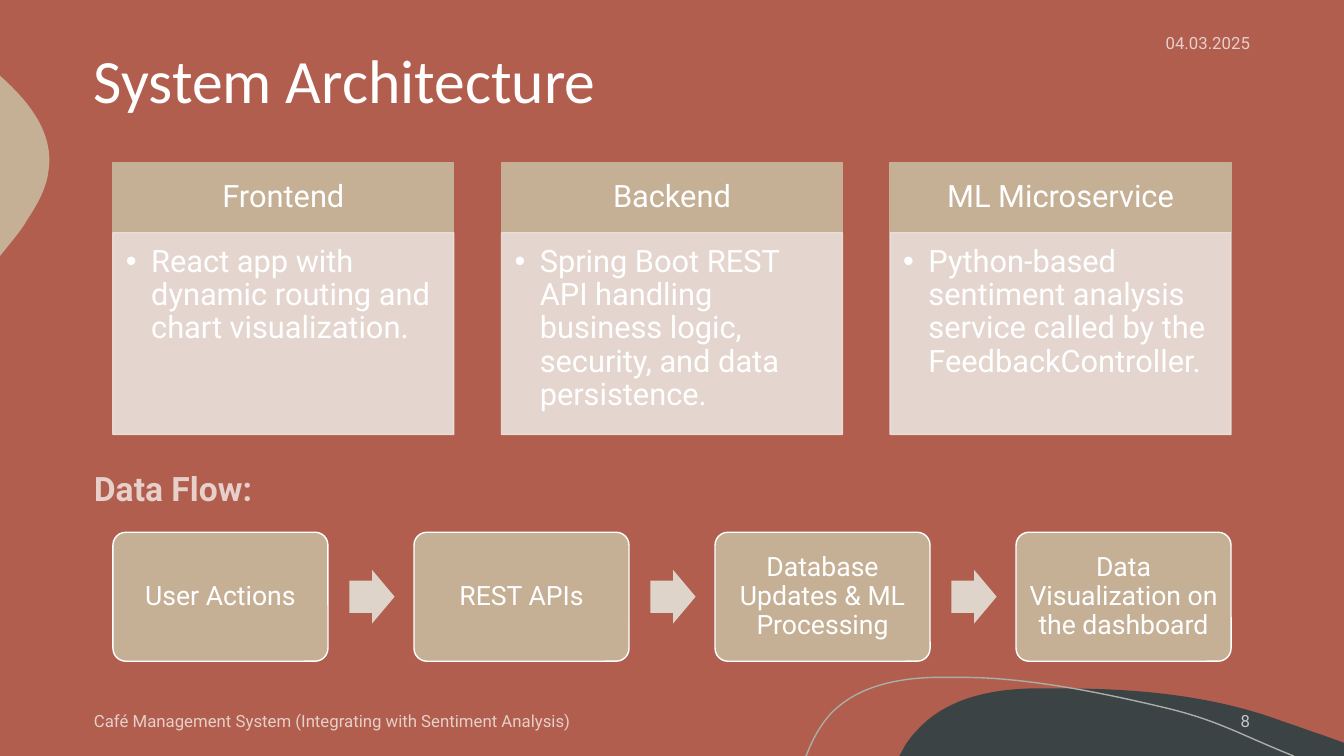
from lxml import etree
from pptx import Presentation
from pptx import util as u
from pptx.dml.color import RGBColor
from pptx.enum import shapes, text
from pptx.oxml.ns import qn

WIDTH, HEIGHT = 13.33, 7.5
CLAY, SAND, CREAM = "B15E4E", "C5B096", "EAE4DD"
ARROW, SLATE, SAGE, WHITE = "DFD4C9", "3B4345", "A9AEA7", "FFFFFF"
CENTER, RIGHT = text.PP_ALIGN.CENTER, text.PP_ALIGN.RIGHT
TOP, MIDDLE, BOTTOM = (text.MSO_ANCHOR.TOP, text.MSO_ANCHOR.MIDDLE,
                       text.MSO_ANCHOR.BOTTOM)
UNITS = 1000  # freeform units per inch

MARGIN = WIDTH / 16
CONTENT_LEFT, CONTENT_WIDTH = 1.12, 11.09

CARDS = [
    ("Frontend", "React app with dynamic routing and chart visualization."),
    ("Backend", "Spring Boot REST API handling business logic, security, "
                "and data persistence."),
    ("ML Microservice", "Python-based sentiment analysis service called by "
                        "the FeedbackController."),
]
STEPS = ["User Actions", "REST APIs", "Database Updates & ML Processing",
         "Data Visualization on the dashboard"]

# Outlines: a start point, then line ends (2 numbers) or Bézier curves (6).
HILL = [(10.54, 6.83), (11.28, 6.83, 12.04, 6.9, 12.73, 7.16),
        (12.86, 7.2, 12.98, 7.25, 13.11, 7.29), (13.33, 7.37), (13.33, 7.5),
        (8.92, 7.5), (8.98, 7.39), (9.02, 7.33, 9.06, 7.28, 9.11, 7.23),
        (9.39, 6.93, 9.82, 6.84, 10.23, 6.83),
        (10.33, 6.83, 10.43, 6.83, 10.54, 6.83)]
PEBBLE = [(0, 0.75), (0.01, 0.76), (0.3, 1.02, 0.54, 1.33, 0.48, 1.7),
          (0.46, 1.87, 0.37, 2.03, 0.27, 2.18),
          (0.24, 2.24, 0.17, 2.33, 0.08, 2.44), (0, 2.54)]
WAVE = [(7.99, 7.5), (8, 7.49), (8.06, 7.33, 8.14, 7.19, 8.24, 7.08),
        (8.5, 6.81, 8.89, 6.73, 9.26, 6.72), (9.55, 6.72),
        (10.22, 6.72, 11, 6.89, 11.55, 7.02),
        (12.09, 7.15, 12.26, 7.27, 12.83, 7.5)]


def color(hex_code):
    return RGBColor.from_string(hex_code)


def set_opacity(element, percent):
    for rgb in element.iter(qn("a:srgbClr")):
        etree.SubElement(rgb, qn("a:alpha"), val=str(percent * 1000))


def paint(shape, fill=None, line=None):
    shape.shadow.inherit = False
    if fill:
        shape.fill.solid()
        shape.fill.fore_color.rgb = color(fill)
    else:
        shape.fill.background()
    if line:
        shape.line.color.rgb = color(line)
        shape.line.width = u.Pt(1)
    else:
        shape.line.fill.background()


def add_block(slide, kind, box, fill, line=None):
    block = slide.shapes.add_shape(kind, *map(u.Inches, box))
    paint(block, fill, line)
    return block


def write(shape, wording, size, align=None, anchor=MIDDLE, font="Roboto",
          opacity=100, bold=False, spacing=1.0, insets=(0.1, 0.05, 0.1, 0.05)):
    frame = shape.text_frame
    frame.word_wrap = True
    frame.vertical_anchor = anchor
    (frame.margin_left, frame.margin_top,
     frame.margin_right, frame.margin_bottom) = map(u.Inches, insets)
    paragraph = frame.paragraphs[0]
    paragraph.alignment = align or text.PP_ALIGN.LEFT
    paragraph.line_spacing = spacing
    run = paragraph.add_run()
    run.text = wording
    run.font.name, run.font.size, run.font.bold = font, u.Pt(size), bold
    run.font.color.rgb = color(WHITE)
    if opacity < 100:
        set_opacity(run._r, opacity)
    return paragraph


def add_label(slide, box, wording, size, **style):
    label = slide.shapes.add_textbox(*map(u.Inches, box))
    return write(label, wording, size, **style)


def add_bullet(paragraph, indent):
    properties = paragraph._p.get_or_add_pPr()
    properties.set("marL", str(u.Inches(indent)))
    properties.set("indent", str(-u.Inches(indent)))
    etree.SubElement(properties, qn("a:buFont"), typeface="Arial")
    etree.SubElement(properties, qn("a:buChar"), char="•")


def add_outline(slide, outline, fill=None, line=None):
    """Join the segment ends with lines, then bend the curved segments."""
    ends = [(x * UNITS, y * UNITS) for *_, x, y in outline]
    builder = slide.shapes.build_freeform(*ends[0], scale=u.Inches(1) / UNITS)
    builder.add_line_segments(ends[1:], close=fill is not None)
    shape = builder.convert_to_shape()
    paint(shape, fill, line)
    left, top = (min(axis) for axis in zip(*ends))
    lines = list(shape._element.iter(qn("a:lnTo")))
    for straight, segment in zip(lines, outline[1:]):
        if len(segment) == 6:
            straight.tag = qn("a:cubicBezTo")
            end = straight[0]
            for i, (x, y) in enumerate((segment[:2], segment[2:4])):
                control = etree.Element(qn("a:pt"), x=str(round(x * UNITS - left)),
                                        y=str(round(y * UNITS - top)))
                straight.insert(i, control)
            straight.append(end)


def add_backdrop(slide):
    slide.background.fill.solid()
    slide.background.fill.fore_color.rgb = color(CLAY)
    add_outline(slide, HILL, fill=SLATE)
    add_outline(slide, PEBBLE, fill=SAND)
    add_outline(slide, WAVE, line=SAGE)


def add_cards(slide, left, top, width, height):
    """Place header-and-body cards side by side, with gaps of 0.14 card."""
    card = width / (1 + 1.14 * (len(CARDS) - 1))
    header = 0.7
    for i, (heading, detail) in enumerate(CARDS):
        x = left + 1.14 * card * i
        head = add_block(slide, shapes.MSO_SHAPE.RECTANGLE,
                         (x, top, card, header), SAND, SAND)
        write(head, heading, 22, align=CENTER, spacing=0.9,
              insets=(0.17, 0.1, 0.17, 0.1))
        body = add_block(slide, shapes.MSO_SHAPE.RECTANGLE,
                         (x, top + header, card, height - header), CREAM, CREAM)
        set_opacity(body._element.spPr, 90)
        paragraph = write(body, detail, 22, anchor=TOP, spacing=0.9,
                          insets=(0.13, 0.13, 0.17, 0.19))
        add_bullet(paragraph, 0.25)


def add_flow(slide, left, top, width, height):
    """Place steps with gaps of 0.4 step, and an arrow in each gap."""
    step = width / (1 + 1.4 * (len(STEPS) - 1))
    arrow_height = 0.25 * step
    for i, wording in enumerate(STEPS):
        x = left + 1.4 * step * i
        if i:
            arrow = add_block(slide, shapes.MSO_SHAPE.RIGHT_ARROW,
                              (x - 0.3 * step, top + (height - arrow_height) / 2,
                               0.21 * step, arrow_height), ARROW)
            arrow.adjustments[0], arrow.adjustments[1] = 0.6, 0.5
        box = add_block(slide, shapes.MSO_SHAPE.ROUNDED_RECTANGLE,
                        (x, top, step, height), SAND, WHITE)
        box.adjustments[0] = 0.1
        write(box, wording, 19, align=CENTER, spacing=0.9, insets=(0.08,) * 4)


def add_headings(slide):
    add_label(slide, (MARGIN, 0, WIDTH - 2 * MARGIN, 1.66),
              "System Architecture", 44, font="Calibri", spacing=0.9)
    flow_heading = add_label(slide, (MARGIN, 4.26, 3.5, 0.83), "Data Flow:", 24,
                             anchor=BOTTOM, opacity=70, bold=True, spacing=1.25)
    flow_heading.space_before = u.Pt(10)


def add_page_details(slide):
    right = WIDTH - MARGIN
    for box, wording, align in [
        ((right - 2.23, 0.22, 2.23, 0.4), "04.03.2025", RIGHT),
        ((MARGIN, 6.95, 7.23, 0.4),
         "Café Management System (Integrating with Sentiment Analysis)", None),
        ((right - 1.67, 6.95, 1.67, 0.4), "8", RIGHT),
    ]:
        add_label(slide, box, wording, 12, align=align, opacity=70)


def main():
    deck = Presentation()
    deck.slide_width, deck.slide_height = u.Inches(WIDTH), u.Inches(HEIGHT)
    slide = deck.slides.add_slide(deck.slide_layouts[6])
    add_backdrop(slide)
    add_headings(slide)
    add_cards(slide, CONTENT_LEFT, 1.61, CONTENT_WIDTH, 2.7)
    add_flow(slide, CONTENT_LEFT, 5.28, CONTENT_WIDTH, 1.28)
    add_page_details(slide)
    deck.save("out.pptx")


if __name__ == "__main__":
    main()
